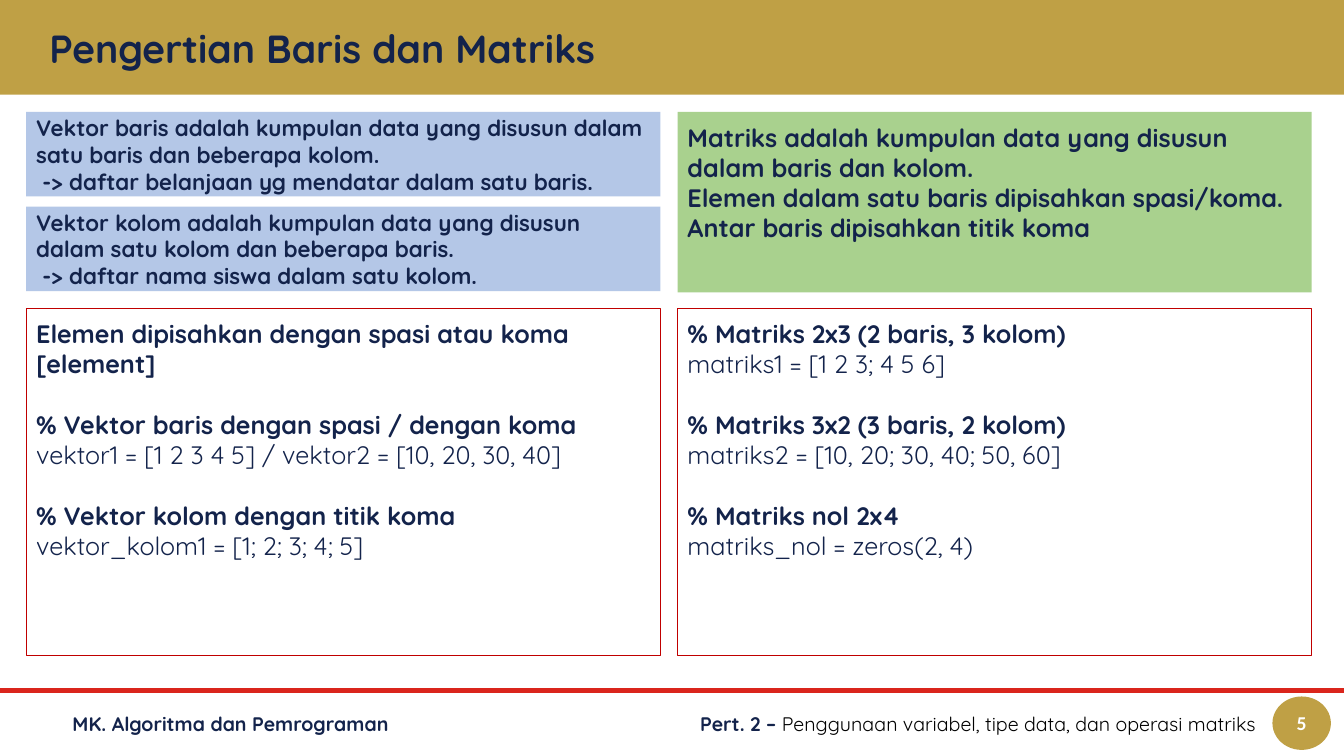
"""Build the slide that explains vectors and matrices."""
from dataclasses import dataclass

from lxml.etree import SubElement
from pptx import Presentation
from pptx.dml.color import RGBColor
from pptx.enum.shapes import MSO_CONNECTOR, MSO_SHAPE
from pptx.enum.text import MSO_ANCHOR, PP_ALIGN
from pptx.oxml.ns import qn
from pptx.util import Emu, Pt


@dataclass(frozen=True)
class Theme:
    gold: RGBColor = RGBColor.from_string("BFA045")
    navy: RGBColor = RGBColor.from_string("13234B")
    red: RGBColor = RGBColor.from_string("DA251C")
    frame: RGBColor = RGBColor.from_string("C00000")
    blue: RGBColor = RGBColor.from_string("B4C7E7")
    green: RGBColor = RGBColor.from_string("A9D18E")
    white: RGBColor = RGBColor.from_string("FFFFFF")
    black: RGBColor = RGBColor.from_string("000000")
    font: str = "Quicksand"
    number_font: str = "Calibri"
    title: int = 28
    body: int = 18
    note: int = 16
    footer: int = 14
    code_gap: float = 21.6


theme = Theme()
PX = 9144
WIDTH, HEIGHT = 1333, 750
LEFT, RIGHT, COLUMN = 26, 672, 629
INSET = 10
FOOTER_TOP, FOOTER_HEIGHT = 691, 53


def add_box(kind, left, top, width, height, fill=None, line=None):
    """Add a preset shape, or a text box when kind is None."""
    bounds = [Emu(length * PX) for length in (left, top, width, height)]
    if kind is None:
        shape = slide.shapes.add_textbox(*bounds)
    else:
        shape = slide.shapes.add_shape(kind, *bounds)
        shape.shadow.inherit = False
    if fill is None:
        shape.fill.background()
    else:
        shape.fill.solid()
        shape.fill.fore_color.rgb = fill
    if line is None:
        shape.line.fill.background()
    else:
        shape.line.color.rgb = line
        shape.line.width = Pt(0.75)
    frame = shape.text_frame
    frame.word_wrap = True
    frame.margin_left = frame.margin_right = Emu(INSET * PX)
    frame.margin_top = frame.margin_bottom = Emu(INSET * PX)
    frame.vertical_anchor = MSO_ANCHOR.MIDDLE
    return shape


def add_paragraph(shape, text, size, bold=True, color=theme.navy, font=theme.font, align=PP_ALIGN.LEFT):
    """Write text into the empty first paragraph or a new one."""
    frame = shape.text_frame
    paragraph = frame.add_paragraph() if frame.text else frame.paragraphs[0]
    paragraph.alignment = align
    paragraph.font.name = font
    paragraph.font.size = Pt(size)
    paragraph.font.bold = bold
    paragraph.font.color.rgb = color
    paragraph.add_run().text = text
    return paragraph


presentation = Presentation()
presentation.slide_width = Emu(WIDTH * PX)
presentation.slide_height = Emu(HEIGHT * PX)
slide = presentation.slides.add_slide(presentation.slide_layouts[6])

add_box(MSO_SHAPE.RECTANGLE, 0, 0, WIDTH, 94, fill=theme.gold)
title = add_box(None, 39, 21, 1255, 53)
add_paragraph(title, "Pengertian Baris dan Matriks", theme.title)

rule = slide.shapes.add_connector(MSO_CONNECTOR.STRAIGHT, 0, Emu(685 * PX), Emu(WIDTH * PX), Emu(685 * PX))
rule.line.color.rgb = theme.red
rule.line.width = Pt(3)
SubElement(rule.element.spPr, qn("a:effectLst"))

course = add_box(None, 62, FOOTER_TOP, 529, FOOTER_HEIGHT)
add_paragraph(course, "MK. Algoritma dan Pemrograman", theme.footer)

page = add_box(MSO_SHAPE.OVAL, 1262, FOOTER_TOP, 58, FOOTER_HEIGHT, fill=theme.gold)
add_paragraph(page, "5", theme.footer, color=theme.white, font=theme.number_font, align=PP_ALIGN.CENTER)

session = add_box(None, 651, FOOTER_TOP, 605, FOOTER_HEIGHT)
session_line = session.text_frame.paragraphs[0]
session_line.alignment = PP_ALIGN.RIGHT
session_line.font.name = theme.font
session_line.font.size = Pt(theme.footer)
for text, bold, color in [
    ("Pert. 2 – ", True, theme.navy),
    ("Penggunaan variabel, tipe data, dan operasi matriks", False, theme.black),
]:
    run = session_line.add_run()
    run.text = text
    run.font.bold = bold
    run.font.color.rgb = color

definitions = [
    (LEFT, 111, 84, theme.blue, theme.note, MSO_ANCHOR.MIDDLE, [
        "Vektor baris adalah kumpulan data yang disusun dalam satu baris dan beberapa kolom.",
        " -> daftar belanjaan yg mendatar dalam satu baris.",
    ]),
    (LEFT, 205, 84, theme.blue, theme.note, MSO_ANCHOR.MIDDLE, [
        "Vektor kolom adalah kumpulan data yang disusun dalam satu kolom dan beberapa baris.",
        " -> daftar nama siswa dalam satu kolom.",
    ]),
    (RIGHT, 111, 179, theme.green, theme.body, MSO_ANCHOR.TOP, [
        "Matriks adalah kumpulan data yang disusun dalam baris dan kolom.",
        "Elemen dalam satu baris dipisahkan spasi/koma. Antar baris dipisahkan titik koma",
    ]),
]
for left, top, height, fill, size, anchor, lines in definitions:
    definition = add_box(MSO_SHAPE.RECTANGLE, left, top, COLUMN, height, fill=fill)
    definition.text_frame.vertical_anchor = anchor
    for line in lines:
        add_paragraph(definition, line, size)

examples = [
    (LEFT, [
        ("Elemen dipisahkan dengan spasi atau koma [element]", None),
        ("% Vektor baris dengan spasi / dengan koma", "vektor1 = [1 2 3 4 5] / vektor2 = [10, 20, 30, 40]"),
        ("% Vektor kolom dengan titik koma", "vektor_kolom1 = [1; 2; 3; 4; 5]"),
    ]),
    (RIGHT, [
        ("% Matriks 2x3 (2 baris, 3 kolom)", "matriks1 = [1 2 3; 4 5 6]"),
        ("% Matriks 3x2 (3 baris, 2 kolom)", "matriks2 = [10, 20; 30, 40; 50, 60]"),
        ("% Matriks nol 2x4", "matriks_nol = zeros(2, 4)"),
    ]),
]
for left, groups in examples:
    example = add_box(MSO_SHAPE.RECTANGLE, left, 306, COLUMN, 344, line=theme.frame)
    example.text_frame.vertical_anchor = MSO_ANCHOR.TOP
    for index, (heading, code) in enumerate(groups):
        paragraph = add_paragraph(example, heading, theme.body)
        if index:
            paragraph.space_before = Pt(theme.code_gap)
        if code:
            add_paragraph(example, code, theme.body, bold=False)

presentation.save("out.pptx")
